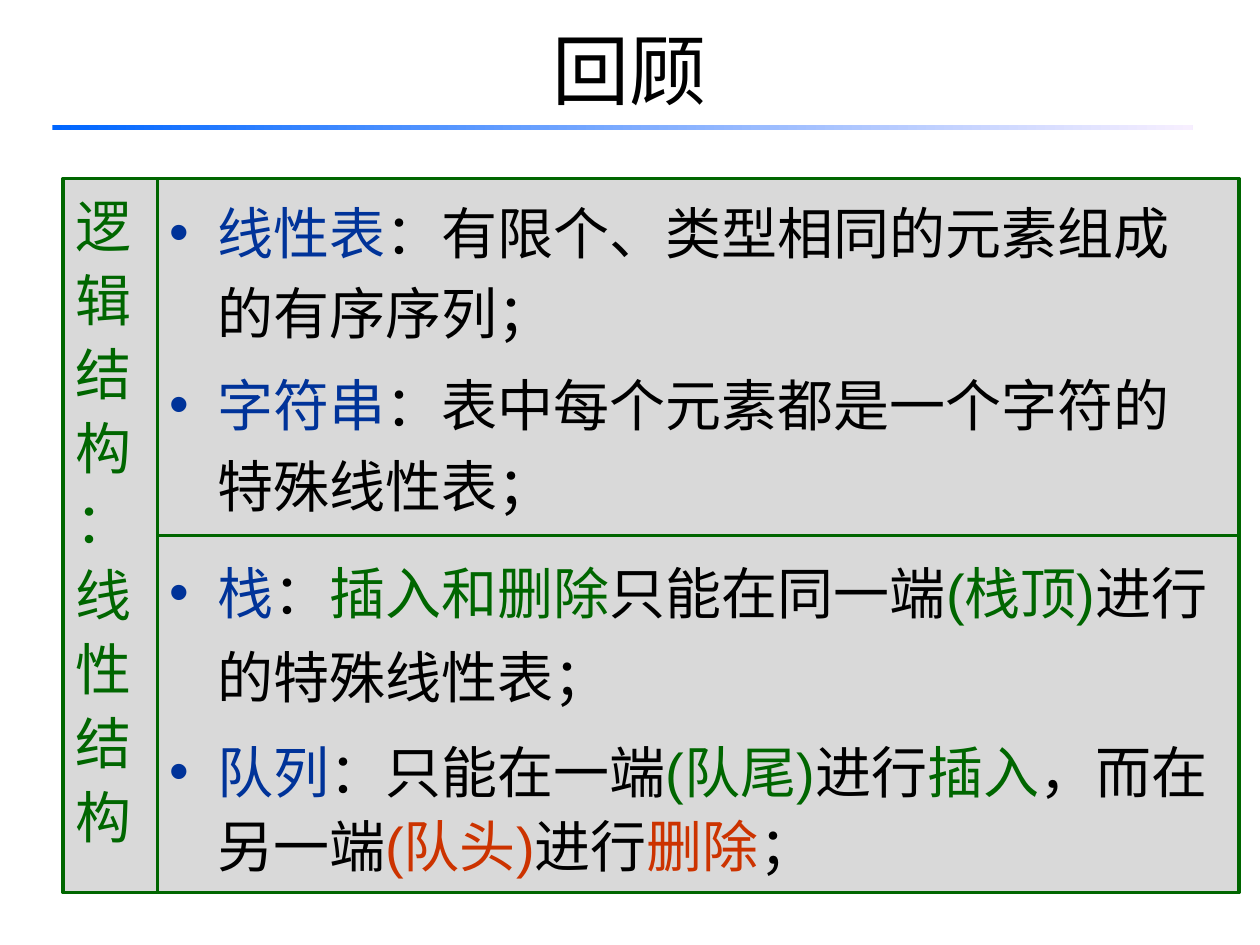
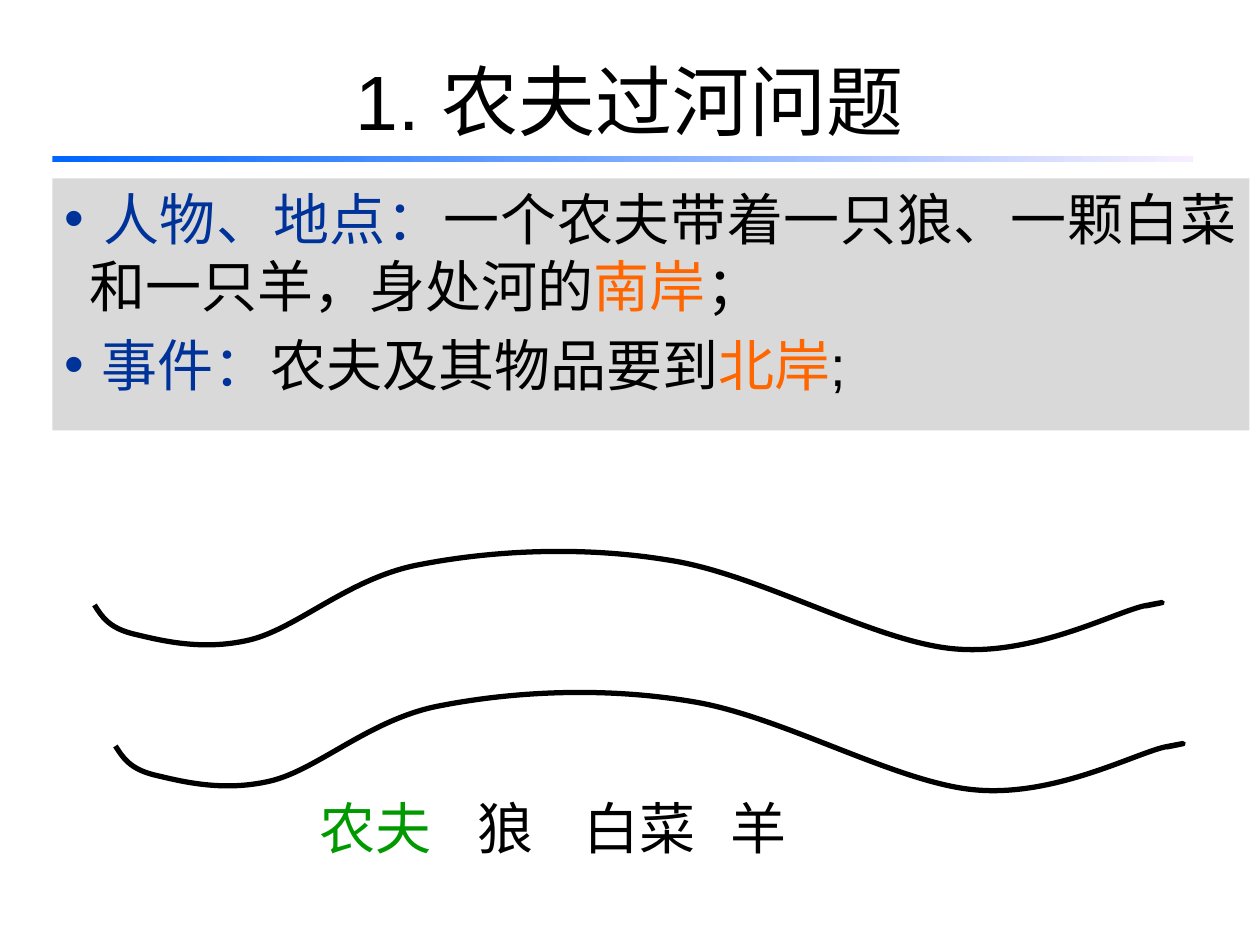
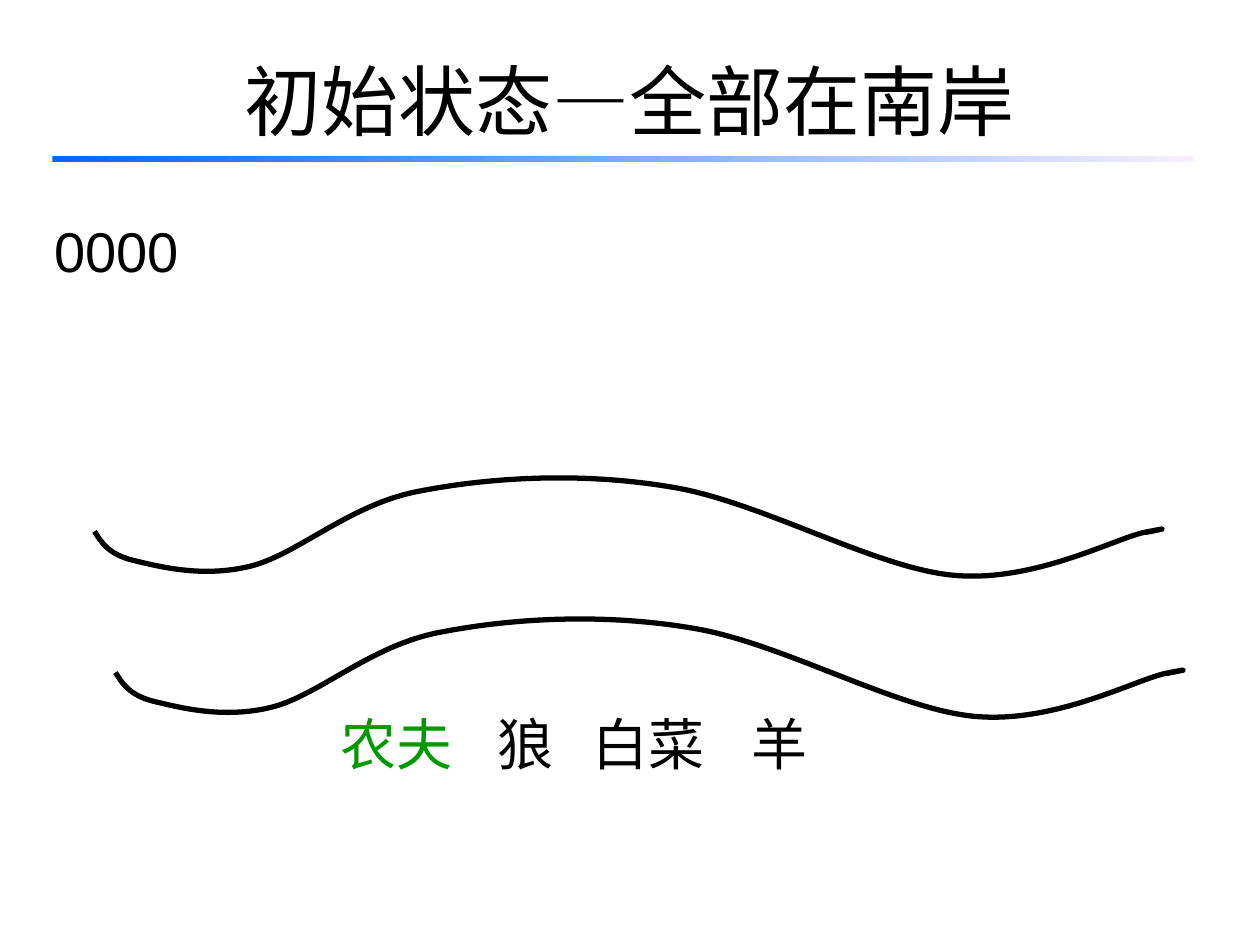
"""Build three slides on linear structures and the farmer crossing puzzle."""
from dataclasses import dataclass

from lxml.etree import SubElement
from pptx import Presentation
from pptx.dml.color import RGBColor
from pptx.enum.shapes import MSO_SHAPE as Shape
from pptx.enum.text import MSO_ANCHOR as Anchor, MSO_AUTO_SIZE as AutoSize, PP_ALIGN as Align
from pptx.oxml.ns import qn
from pptx.util import Pt

BLACK = RGBColor(0x00, 0x00, 0x00)
BLUE = RGBColor(0x00, 0x33, 0x99)
GREEN = RGBColor(0x00, 0x66, 0x00)
FARMER_GREEN = RGBColor(0x00, 0x99, 0x00)
RED = RGBColor(0xCC, 0x33, 0x00)
ORANGE = RGBColor(0xFF, 0x66, 0x00)
PANEL_GREY = RGBColor(0xD9, 0xD9, 0xD9)
BAND_START = RGBColor(0x00, 0x66, 0xFF)
BAND_END = RGBColor(0xF7, 0xEF, 0xFF)
LATIN, CJK = "Arial", "Noto Sans CJK SC"
TITLE_SIZE, BODY_SIZE = 44, 32


@dataclass
class Style:
    """Paragraph layout, lengths in points."""
    margin: float = 0
    indent: float = 0
    spacing: float = 1.0
    before: float = 0
    align: Align = Align.LEFT
    bullet: bool = False


LIST = Style(27, -27, 1.2, 6.4, bullet=True)
STACK = Style(27, -27, 1.25, 9, bullet=True)
QUEUE = Style(27, -27, 1.1, 12, bullet=True)
SIDE = Style(spacing=1.1)
STORY = Style(14, -14, 1.0, 6.4, Align.JUSTIFY, True)
LABEL = Style(14.4, 0, 1.0, 6.4, Align.JUSTIFY)
CODE = Style(27, -27, 1.0, 6.4, Align.JUSTIFY)

REVIEW_TITLE = "回顾"
STRUCTURE = [
    (SIDE, [("逻辑结构", GREEN)]),
    (SIDE, [("：线性结构", GREEN)]),
]
GENERAL_LISTS = [
    (LIST, [("线性表", BLUE), ("：有限个、类型相同的元素组成的有序序列；", BLACK)]),
    (LIST, [("字符串", BLUE), ("：表中每个元素都是一个字符的特殊线性表；", BLACK)]),
]
RESTRICTED_LISTS = [
    (STACK, [("栈", BLUE), ("：", BLACK), ("插入和删除", GREEN), ("只能在同一端", BLACK),
             ("(栈顶)", GREEN), ("进行的特殊线性表；", BLACK)]),
    (QUEUE, [("队列", BLUE), ("：只能在一端", BLACK), ("(队尾)", GREEN), ("进行", BLACK),
             ("插入", GREEN), ("，而在另一端", BLACK), ("(队头)", RED), ("进行", BLACK),
             ("删除", RED), ("；", BLACK)]),
]
PUZZLE_TITLE = "1. 农夫过河问题"
PUZZLE = [
    (STORY, [(" ", BLACK), ("人物、地点：", BLUE),
             ("一个农夫带着一只狼、一颗白菜和一只羊，身处河的", BLACK),
             ("南岸", ORANGE), ("；", BLACK)]),
    (STORY, [(" 事件：", BLUE), ("农夫及其物品要到", BLACK), ("北岸", ORANGE), (";", BLACK)]),
]
START_TITLE = "初始状态—全部在南岸"
START_CODE = [(CODE, [("0000", BLACK)])]
TRAVELLERS = [("农夫", FARMER_GREEN), ("狼", BLACK), ("白菜", BLACK), ("羊", BLACK)]
PUZZLE_LEFTS = [161, 251.5, 312, 396]
START_LEFTS = [173, 263, 317, 408]

BANK = [
    (0, 34),
    (4, 40.3), (8, 47), (22, 50.5),
    (37, 54), (61, 60.5), (88.5, 54),
    (116, 47.5), (146, 18), (186.5, 10.8),
    (227, 3), (278.5, 0), (329.5, 8.6),
    (380, 16.6), (445.5, 54.7), (490.5, 59),
    (535.5, 63.4), (581, 39), (599.5, 34.6),
    (618, 31), (609, 33), (600.5, 34.6),
]
BANK_LEFT = 54
BANK_STEP = (12, 80.6)


def format_run(run, size, colour, latin=LATIN):
    """Set size, colour and both script fonts of a run."""
    run.font.size = Pt(size)
    run.font.color.rgb = colour
    run.font.name = latin
    SubElement(run.font._element, qn("a:ea")).set("typeface", CJK)


def add_bullet(paragraph):
    """Give a paragraph a blue round bullet."""
    properties = paragraph._p.get_or_add_pPr()
    colour = SubElement(properties, qn("a:buClr"))
    SubElement(colour, qn("a:srgbClr")).set("val", str(BLUE))
    SubElement(properties, qn("a:buFont")).set("typeface", LATIN)
    SubElement(properties, qn("a:buChar")).set("char", "•")


def write(frame, paragraphs):
    """Fill a text frame with styled paragraphs of coloured runs."""
    frame.word_wrap = True
    frame.vertical_anchor = Anchor.TOP
    for number, (style, pieces) in enumerate(paragraphs):
        paragraph = frame.add_paragraph() if number else frame.paragraphs[0]
        paragraph.alignment = style.align
        paragraph.line_spacing = style.spacing
        paragraph.space_before = Pt(style.before)
        properties = paragraph._p.get_or_add_pPr()
        properties.set("marL", str(Pt(style.margin)))
        properties.set("indent", str(Pt(style.indent)))
        if style.bullet:
            add_bullet(paragraph)
        for words, colour in pieces:
            run = paragraph.add_run()
            run.text = words
            format_run(run, BODY_SIZE, colour)


def add_panel(slide, left, top, width, height, paragraphs, border=None):
    """Add a grey text panel, with a border if a colour is given."""
    panel = slide.shapes.add_shape(Shape.RECTANGLE, Pt(left), Pt(top), Pt(width), Pt(height))
    panel.shadow.inherit = False
    panel.fill.solid()
    panel.fill.fore_color.rgb = PANEL_GREY
    if border is None:
        panel.line.fill.background()
    else:
        panel.line.color.rgb = border
        panel.line.width = Pt(2)
        panel.text_frame.margin_right = Pt(8)
    write(panel.text_frame, paragraphs)


def add_words(slide, left, top, width, height, paragraphs):
    """Add a plain text box."""
    box = slide.shapes.add_textbox(Pt(left), Pt(top), Pt(width), Pt(height))
    write(box.text_frame, paragraphs)


def add_titled_slide(deck, heading, top=12, latin=LATIN):
    """Add a slide with its title and the fading band below."""
    slide = deck.slides.add_slide(deck.slide_layouts[5])
    title = slide.shapes.title
    title.left, title.top, title.width, title.height = Pt(36), Pt(top), Pt(648), Pt(90)
    frame = title.text_frame
    frame.text = heading
    frame.auto_size = AutoSize.NONE
    frame.vertical_anchor = Anchor.MIDDLE
    frame.paragraphs[0].alignment = Align.CENTER
    format_run(frame.paragraphs[0].runs[0], TITLE_SIZE, BLACK, latin)

    band = slide.shapes.add_shape(Shape.RECTANGLE, Pt(30), Pt(top + 77.4), Pt(651.5), Pt(3))
    band.shadow.inherit = False
    band.line.fill.background()
    band.fill.gradient()
    band.fill.gradient_angle = 0
    for stop, colour in zip(band.fill.gradient_stops, (BAND_START, BAND_END)):
        stop.color.rgb = colour
    return slide


def add_bank(slide, left, top):
    """Draw one river bank as a chain of cubic curves."""
    points = [(Pt(left + x), Pt(top + y)) for x, y in BANK]
    builder = slide.shapes.build_freeform(*points[0])
    builder.add_line_segments(points[1:], close=False)
    bank = builder.convert_to_shape()
    bank.shadow.inherit = False
    bank.fill.background()
    bank.line.color.rgb = BLACK
    bank.line.width = Pt(3)
    outline = bank._element.find(".//" + qn("a:path"))
    segments = outline.findall(qn("a:lnTo"))
    for first in range(0, len(segments), 3):
        curve = SubElement(outline, qn("a:cubicBezTo"))
        for segment in segments[first:first + 3]:
            curve.append(segment[0])
            outline.remove(segment)


def add_river(slide, top, label_top, lefts):
    """Draw both banks and the travellers on the southern one."""
    for number in range(2):
        add_bank(slide, BANK_LEFT + number * BANK_STEP[0], top + number * BANK_STEP[1])
    for left, traveller in zip(lefts, TRAVELLERS):
        add_words(slide, left, label_top, 96, 54, [(LABEL, [traveller])])


def main():
    """Build and save the deck."""
    deck = Presentation()
    deck.slide_width, deck.slide_height = Pt(720), Pt(540)

    review = add_titled_slide(deck, REVIEW_TITLE, top=-6, latin=CJK)
    for row, lists in enumerate((GENERAL_LISTS, RESTRICTED_LISTS)):
        add_panel(review, 90, 102 + row * 204, 618, 204, lists, GREEN)
    add_panel(review, 36, 102, 54, 408, STRUCTURE, GREEN)

    puzzle = add_titled_slide(deck, PUZZLE_TITLE)
    add_panel(puzzle, 30, 102, 684, 144, PUZZLE)
    add_river(puzzle, 311.7, 450, PUZZLE_LEFTS)

    start = add_titled_slide(deck, START_TITLE)
    add_river(start, 269.7, 402, START_LEFTS)
    add_words(start, 24, 120, 672, 96, START_CODE)

    deck.save("out.pptx")


if __name__ == "__main__":
    main()
